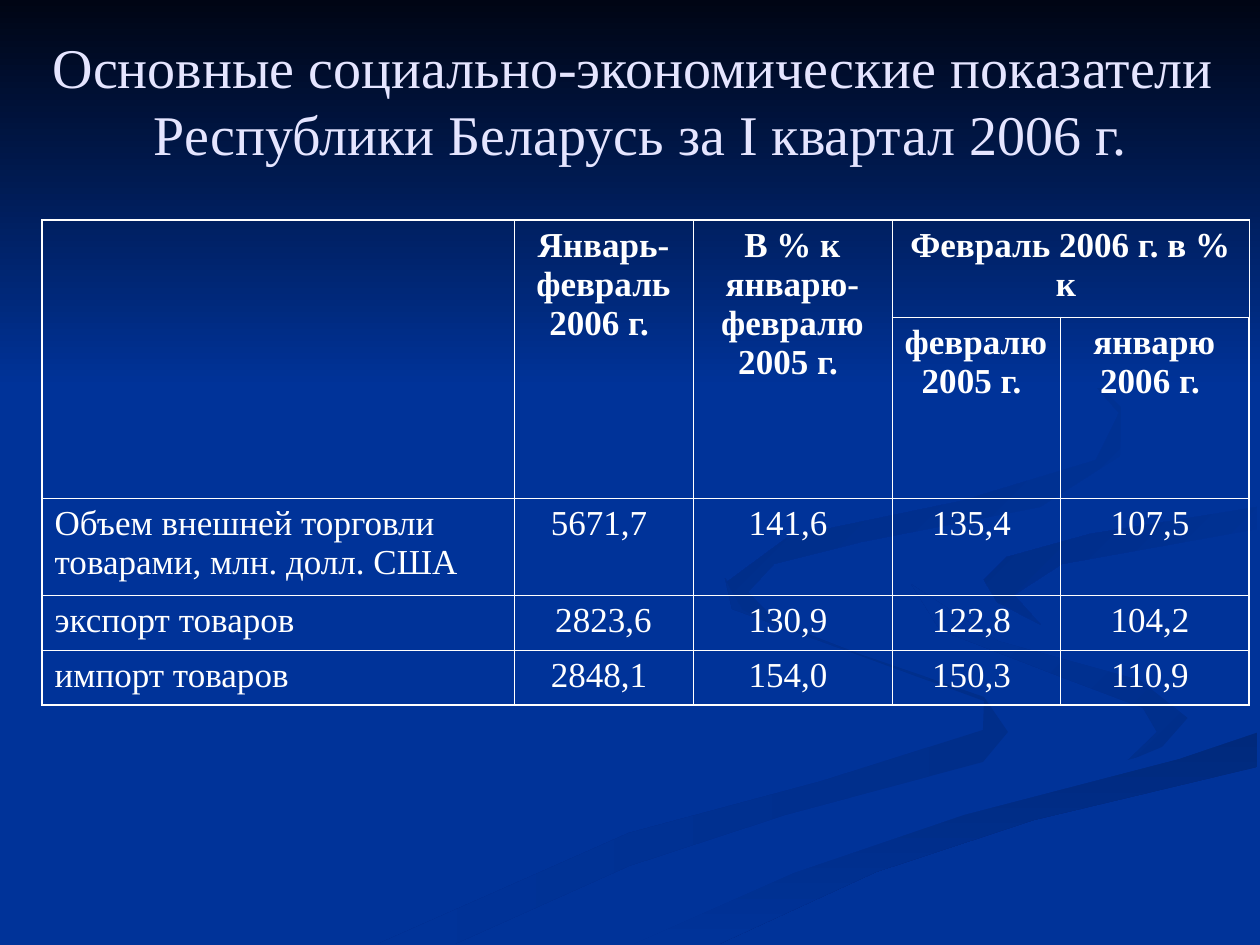
from lxml import etree
from pptx import Presentation
from pptx.dml.color import RGBColor
from pptx.enum.shapes import MSO_SHAPE
from pptx.enum.text import MSO_ANCHOR, MSO_AUTO_SIZE, PP_ALIGN
from pptx.oxml.ns import qn
from pptx.util import Pt

RECT = MSO_SHAPE.RECTANGLE
MIDDLE = MSO_ANCHOR.MIDDLE
NO_FIT = MSO_AUTO_SIZE.NONE
LEFT, CENTER = PP_ALIGN.LEFT, PP_ALIGN.CENTER

SCALE = 914400 / 126
FONT = "Times New Roman"
BLUE, WHITE, LILAC = "003399", "FFFFFF", "E5E5FF"
THIN, THICK = 0.45, 1.08

TITLE = "Основные социально-экономические показатели \nРеспублики Беларусь за I квартал 2006 г."
ROWS = [
    ["", "Январь-февраль 2006 г. ", "В % к январю-февралю 2005 г. ", "Февраль 2006 г. в % к ", ""],
    ["", "", "", "февралю 2005 г. ", "январю\n2006 г. "],
    ["Объем внешней торговли товарами, млн. долл. США", "5671,7 ", "141,6 ", "135,4 ", "107,5 "],
    ["экспорт товаров", "2823,6", "130,9 ", "122,8 ", "104,2 "],
    ["импорт товаров", "2848,1 ", "154,0 ", "150,3 ", "110,9 "],
]
HEADER_ROWS = 2
MERGES = [(0, 0, 1, 0), (0, 1, 1, 1), (0, 2, 1, 2), (0, 3, 0, 4)]
COL_WIDTHS = [472, 179, 199, 168, 189]
ROW_HEIGHTS = [97, 181, 97, 55, 55]

RIBBONS = [
    ("002E8A", BLUE, 180, [
        (984, 697), (859, 654), (748, 611), (725, 578), (732, 609), (856, 654), (984, 701),
        (983, 730), (822, 781), (629, 833), (378, 944), (455, 944), (629, 866), (785, 815),
        (983, 762), (1008, 732)]),
    ("002E8A", BLUE, 225, [
        (1188, 718), (1140, 680), (998, 641), (912, 585), (940, 630), (1056, 675),
        (1143, 708), (1157, 732), (1126, 762), (1174, 742)]),
    ("00297C", BLUE, 90, [
        (634, 944), (719, 944), (876, 872), (1034, 820), (1257, 767), (1257, 732),
        (1179, 759), (963, 815), (794, 873)]),
    (BLUE, BLUE, 0, [
        (914, 585), (999, 641), (1140, 680), (1188, 718), (1158, 752), (983, 799), (780, 862),
        (601, 944), (634, 944), (794, 873), (964, 815), (1179, 759), (1259, 732), (1259, 678),
        (1091, 641), (984, 583), (1036, 547), (1259, 507), (1259, 488), (993, 532),
        (922, 562)]),
    (BLUE, "002C85", 225, [
        (984, 580), (997, 602), (1041, 625), (1014, 595), (1062, 564), (1257, 529),
        (1257, 507), (1090, 534), (1007, 557)]),
    (BLUE, "002B81", 225, [
        (861, 542), (1040, 507), (1120, 456), (1121, 408), (1062, 347), (960, 294),
        (1066, 352), (1119, 413), (1096, 460), (961, 501), (788, 537), (727, 582), (743, 610),
        (784, 630), (748, 592), (774, 564)]),
]


def px(n):
    return round(n * SCALE)


def rgb(value):
    return RGBColor.from_string(value)


def write(tf, text, size=20, color=WHITE, bold=False, align=CENTER):
    p = tf.paragraphs[0]
    p.text = text
    p.alignment = align
    for r in p.runs:
        r.font.name = FONT
        r.font.size = Pt(size)
        r.font.bold = bold
        r.font.color.rgb = rgb(color)


def paint(sp, start, end, angle):
    sp.shadow.inherit = False
    sp.line.fill.background()
    if start == end:
        sp.fill.solid()
        sp.fill.fore_color.rgb = rgb(start)
        return
    sp.fill.gradient()
    sp.fill.gradient_angle = 360 - angle
    for stop, color in zip(sp.fill.gradient_stops, (start, end)):
        stop.color.rgb = rgb(color)


def set_borders(cell, **widths):
    tc_pr = cell._tc.get_or_add_tcPr()
    for side, width in widths.items():
        ln = etree.SubElement(tc_pr, qn("a:ln" + side), w=str(Pt(width)))
        fill = etree.SubElement(ln, qn("a:solidFill"))
        etree.SubElement(fill, qn("a:srgbClr"), val=WHITE)


def add_background(s):
    s.background.fill.solid()
    s.background.fill.fore_color.rgb = rgb(BLUE)
    for start, end, angle, points in RIBBONS:
        builder = s.shapes.build_freeform(*points[0], scale=SCALE)
        builder.add_line_segments(points[1:], close=True)
        paint(builder.convert_to_shape(), start, end, angle)
    paint(s.shapes.add_shape(RECT, 0, 0, px(1260), px(388)), "000514", BLUE, 90)


def add_title(s):
    title = s.shapes.title
    title.left, title.top, title.width, title.height = map(px, (21, 21, 1239, 158))
    tf = title.text_frame
    tf.word_wrap = True
    tf.auto_size = NO_FIT
    tf.vertical_anchor = MIDDLE
    write(tf, TITLE, size=32, color=LILAC)
    s.shapes.element.append(title.element)


def add_indicators(s):
    last_row, last_col = len(ROW_HEIGHTS) - 1, len(COL_WIDTHS) - 1
    table = s.shapes.add_table(len(ROW_HEIGHTS), len(COL_WIDTHS), px(42), px(220),
                               px(sum(COL_WIDTHS)), px(sum(ROW_HEIGHTS))).table
    table.first_row = table.horz_banding = False
    for col, width in zip(table.columns, COL_WIDTHS):
        col.width = px(width)
    for row, height in zip(table.rows, ROW_HEIGHTS):
        row.height = px(height)
    for top, left, bottom, right in MERGES:
        table.cell(top, left).merge(table.cell(bottom, right))
    for i, row in enumerate(ROWS):
        for j, text in enumerate(row):
            cell = table.cell(i, j)
            set_borders(cell, L=THIN if j else THICK, R=THICK if j == last_col else THIN,
                        T=THIN if i else THICK, B=THICK if i == last_row else THIN)
            cell.fill.background()
            if text:
                write(cell.text_frame, text, bold=i < HEADER_ROWS, align=CENTER if j else LEFT)


def main():
    prs = Presentation()
    prs.slide_width, prs.slide_height = px(1260), px(945)
    s = prs.slides.add_slide(prs.slide_layouts[5])
    add_background(s)
    add_title(s)
    add_indicators(s)
    prs.save("out.pptx")


if __name__ == "__main__":
    main()
